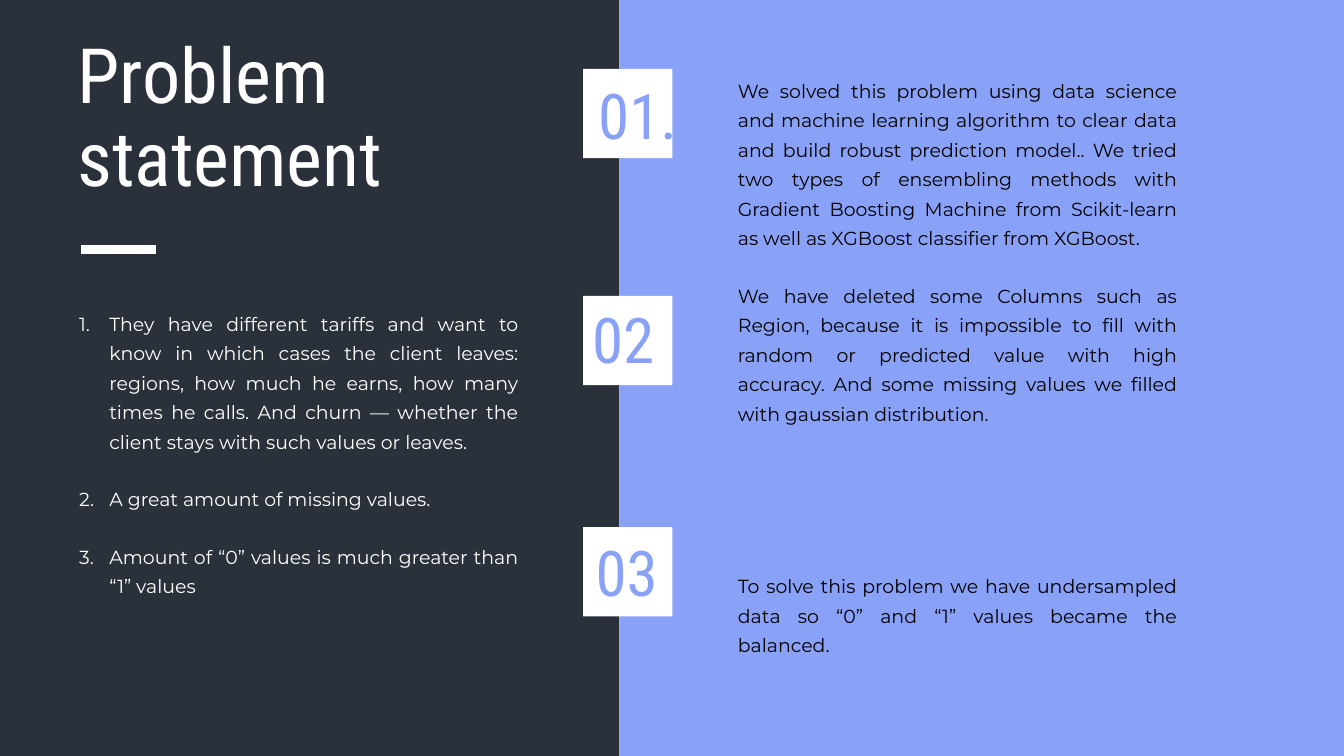
from lxml import etree
from pptx import Presentation
from pptx.dml.color import RGBColor
from pptx.enum import shapes, text
from pptx.oxml import ns
from pptx.util import Pt

WHITE = RGBColor(0xFF, 0xFF, 0xFF)
BLACK = RGBColor(0, 0, 0)
DARK = RGBColor(0x2B, 0x31, 0x3A)
PERIWINKLE = RGBColor(0x89, 0xA2, 0xF7)
HEADING_FONT = "Roboto Condensed"
BODY_FONT = "Montserrat"
WIDTH, HEIGHT = 1920, 1080
SPLIT = 885  # where the dark panel meets the light one
TILE = 127.5

PROBLEMS = [
    "They have different tariffs and want to know in which cases the client leaves: "
    "regions, how much he earns, how many times he calls. And churn — whether the "
    "client stays with such values or leaves.",
    "A great amount of missing values.",
    "Amount of “0” values is much greater than “1” values",
]
SOLUTIONS = [
    "We solved this problem using data science and machine learning algorithm to clear "
    "data and build robust prediction model.. We tried two types of ensembling methods "
    "with Gradient Boosting Machine from Scikit-learn as well as XGBoost classifier "
    "from XGBoost.",
    "We have deleted some Columns such as Region, because it is impossible to fill with "
    "random or predicted value with high accuracy. And some missing values we filled "
    "with gaussian distribution.",
    "To solve this problem we have undersampled data so “0” and “1” values became "
    "the balanced.",
]
# Number, top of its tile, and offset of the number inside the tile
TILES = [("01.", 98.6, 18, 6.5), ("02", 422.6, 9.4, 3), ("03", 753, 14.4, 5)]


def add_panel(page, left, top, width, height, color):
    panel = page.shapes.add_shape(shapes.MSO_SHAPE.RECTANGLE,
                                  Pt(left), Pt(top), Pt(width), Pt(height))
    panel.shadow.inherit = False
    panel.fill.solid()
    panel.fill.fore_color.rgb = color
    panel.line.fill.background()


def number_paragraph(para, color, indent=43.2):
    """Turn a paragraph into an item of a 1. 2. 3. list."""
    props = para._p.get_or_add_pPr()
    props.set("marL", str(Pt(indent)))
    props.set("indent", str(-Pt(indent)))
    bullet_color = etree.SubElement(props, ns.qn("a:buClr"))
    etree.SubElement(bullet_color, ns.qn("a:srgbClr"), val=str(color))
    etree.SubElement(props, ns.qn("a:buFont"), typeface=BODY_FONT)
    etree.SubElement(props, ns.qn("a:buAutoNum"), type="arabicPeriod")


def add_text(page, left, top, width, height, paragraphs, *, size, font, color,
             align=text.PP_ALIGN.LEFT, spacing=1.0, gaps=(0,), numbered=False):
    box = page.shapes.add_textbox(Pt(left), Pt(top), Pt(width), Pt(height))
    frame = box.text_frame
    frame.word_wrap = True
    frame.auto_size = text.MSO_AUTO_SIZE.SHAPE_TO_FIT_TEXT
    frame.margin_left = frame.margin_right = Pt(3.6)
    frame.margin_top = frame.margin_bottom = Pt(3.6)
    for index, (words, gap) in enumerate(zip(paragraphs, gaps)):
        para = frame.add_paragraph() if index else frame.paragraphs[0]
        para.alignment = align
        para.line_spacing = spacing
        para.space_before = Pt(gap)
        if numbered:
            number_paragraph(para, color)
        span = para.add_run()
        span.text = words
        span.font.size = Pt(size)
        span.font.name = font
        span.font.color.rgb = color


def add_body(page, left, top, width, height, paragraphs, **options):
    add_text(page, left, top, width, height, paragraphs, size=27, font=BODY_FONT,
             align=text.PP_ALIGN.JUSTIFY, spacing=1.3, **options)


def build_problem_side(page, left, top, width, height):
    add_panel(page, left, top, width, height, DARK)
    # Heading
    add_text(page, left + 107, top + 50.4, 498, 256, ["Problem statement"],
             size=109, font=HEADING_FONT, color=WHITE, spacing=0.9)
    # Rule under the heading
    rule = page.shapes.add_connector(shapes.MSO_CONNECTOR.STRAIGHT,
                                     Pt(left + 116), Pt(top + 356.4),
                                     Pt(left + 223), Pt(top + 356.4))
    rule.line.color.rgb = WHITE
    rule.line.width = Pt(12)
    etree.SubElement(rule._element.spPr, ns.qn("a:effectLst"))
    # Numbered problems
    add_body(page, left + 109.4, top + 432.7, 634.3, 410.4, PROBLEMS,
             color=WHITE, gaps=(0, 40, 40), numbered=True)


def build_solution_side(page, left, top, width, height):
    add_panel(page, left, top, width, height, PERIWINKLE)
    # Solutions, the last one set lower to meet its tile
    add_body(page, left + 165.5, top + 100, 634.3, 839.5, SOLUTIONS,
             color=BLACK, gaps=(0, 40, 204))


def build_tiles(page, left, top):
    for number, tile_top, shift_x, shift_y in TILES:
        add_panel(page, left, top + tile_top, TILE, TILE, WHITE)
        add_text(page, left + shift_x, top + tile_top + shift_y, 168.5, 115.2,
                 [number], size=90, font=HEADING_FONT, color=PERIWINKLE)


def main():
    deck = Presentation()
    deck.slide_width, deck.slide_height = Pt(WIDTH), Pt(HEIGHT)
    page = deck.slides.add_slide(deck.slide_layouts[6])
    build_problem_side(page, 0, 0, SPLIT, HEIGHT)
    build_solution_side(page, SPLIT, 0, WIDTH - SPLIT, HEIGHT)
    build_tiles(page, 833, 0)
    deck.save("out.pptx")


if __name__ == "__main__":
    main()
